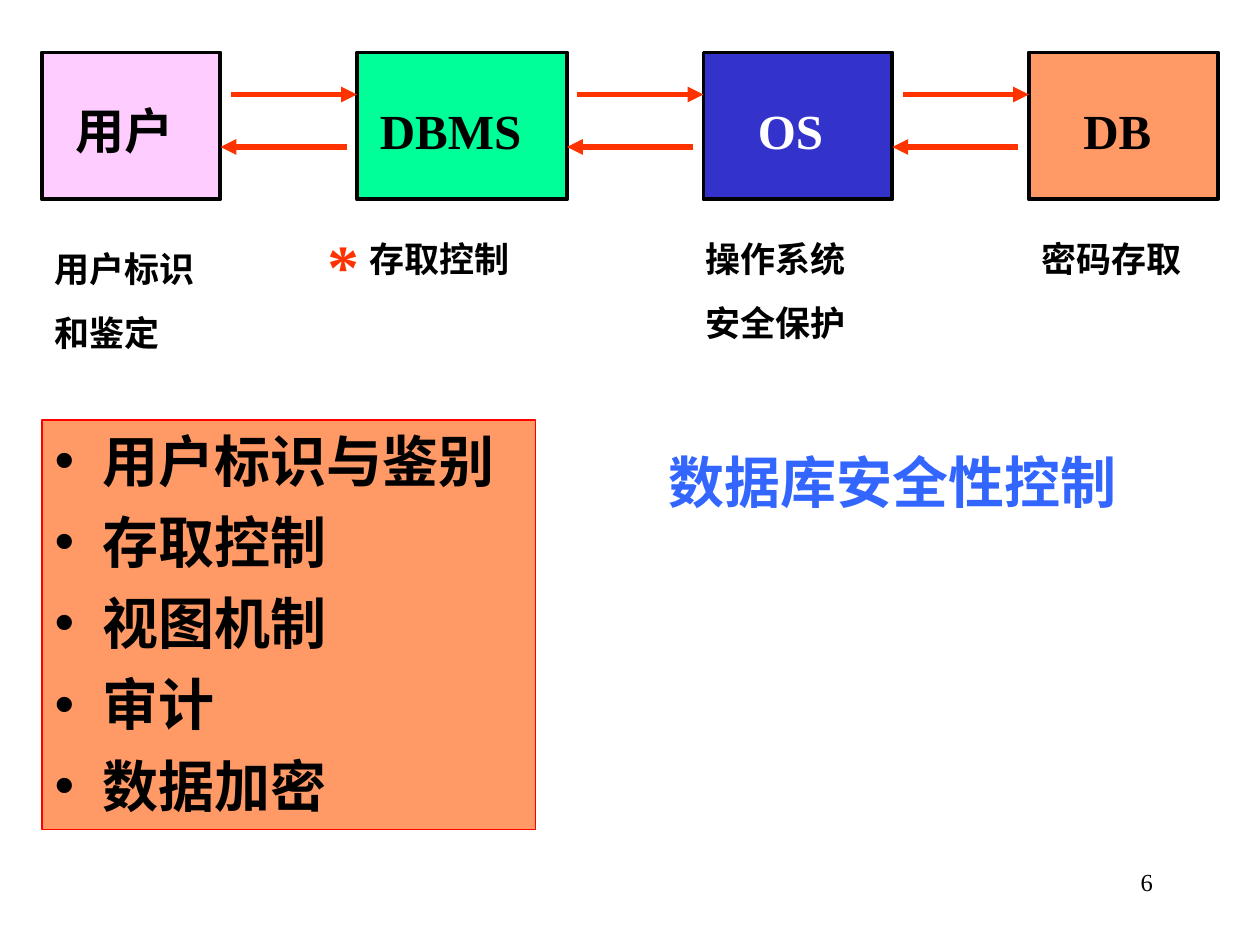
from dataclasses import dataclass
from itertools import pairwise

from lxml import etree
from pptx import Presentation
from pptx.dml.color import RGBColor
from pptx.enum.shapes import MSO_CONNECTOR, MSO_SHAPE
from pptx.enum.text import MSO_ANCHOR, MSO_AUTO_SIZE, PP_ALIGN
from pptx.oxml.ns import qn
from pptx.util import Inches, Pt

RECTANGLE = MSO_SHAPE.RECTANGLE
STRAIGHT = MSO_CONNECTOR.STRAIGHT
TOP = MSO_ANCHOR.TOP
NO_FIT = MSO_AUTO_SIZE.NONE
LEFT, CENTER, RIGHT = PP_ALIGN.LEFT, PP_ALIGN.CENTER, PP_ALIGN.RIGHT

COLUMNS, ROWS = 120, 90


@dataclass(frozen=True)
class Theme:
    latin: str = "Times New Roman"
    asian: str = "Noto Sans CJK SC"
    ink: str = "000000"
    white: str = "FFFFFF"
    title: str = "3366FF"
    arrow: str = "FF3300"
    frame: str = "FF0000"
    pink: str = "FFCCFF"
    green: str = "00FF99"
    blue: str = "3333CC"
    orange: str = "FF9966"
    heading_size: int = 32
    node_size: int = 28
    caption_size: int = 20
    star_size: int = 36
    number_size: int = 14
    leading: float = 1.2


THEME = Theme()


@dataclass(frozen=True)
class Box:
    column: float
    row: float
    columns: float
    rows: float

    @property
    def right(self):
        return self.column + self.columns

    def inset(self, column, row, columns, rows):
        return Box(self.column + column, self.row + row, columns, rows)


def cell(count):
    return Inches(count * 10 / COLUMNS)


def place(shape, box):
    shape.left, shape.top = cell(box.column), cell(box.row)
    shape.width, shape.height = cell(box.columns), cell(box.rows)


def color(value):
    return RGBColor.from_string(value)


def paint(shape, fill, line, width):
    shape.fill.solid()
    shape.fill.fore_color.rgb = color(fill)
    shape.line.color.rgb = color(line)
    shape.line.width = Pt(width)


def add_bullet(paragraph):
    properties = paragraph._p.get_or_add_pPr()
    indent = Inches(0.38)
    properties.set("marL", str(indent))
    properties.set("indent", str(-indent))
    bullet_color = etree.SubElement(properties, qn("a:buClr"))
    etree.SubElement(bullet_color, qn("a:srgbClr"), val=THEME.ink)
    etree.SubElement(properties, qn("a:buChar"), char="•")


def write(shape, text, *, size, ink=THEME.ink, latin=THEME.latin, bold=True,
          align=LEFT, space=0, bullets=False):
    frame = shape.text_frame
    frame.word_wrap = True
    frame.auto_size = NO_FIT
    frame.vertical_anchor = TOP
    frame.text = text
    for index, paragraph in enumerate(frame.paragraphs):
        if bullets:
            add_bullet(paragraph)
        paragraph.alignment = align
        paragraph.space_before = Pt(space if index else 0)
        paragraph.line_spacing = Pt(size * THEME.leading)
        for run in paragraph.runs:
            font = run.font
            font.name, font.size, font.bold = latin, Pt(size), bold
            font.color.rgb = color(ink)
            etree.SubElement(run._r.get_or_add_rPr(), qn("a:ea"),
                             typeface=THEME.asian)


def add_text(slide, box, text, **style):
    shape = slide.shapes.add_textbox(0, 0, 0, 0)
    place(shape, box)
    write(shape, text, **style)


def add_node(slide, box, text, fill, ink, text_offset):
    shape = slide.shapes.add_shape(RECTANGLE, 0, 0, 0, 0)
    place(shape, box)
    shape.shadow.inherit = False
    paint(shape, fill, THEME.ink, 2.25)
    label = box.inset(text_offset, 4, box.columns - text_offset, 7)
    add_text(slide, label, text, size=THEME.node_size, ink=ink)


def add_arrow(slide, start, end, row):
    arrow = slide.shapes.add_connector(
        STRAIGHT, cell(start), cell(row), cell(end), cell(row))
    arrow.line.color.rgb = color(THEME.arrow)
    arrow.line.width = Pt(3)
    etree.SubElement(arrow.line._get_or_add_ln(), qn("a:tailEnd"),
                     type="triangle")
    etree.SubElement(arrow._element.spPr, qn("a:effectLst"))


def add_chain(slide, box):
    nodes = [
        (0, 17, "用户", THEME.pink, THEME.ink, 2),
        (30, 20, "DBMS", THEME.green, THEME.ink, 1),
        (63, 18, "OS", THEME.blue, THEME.white, 4),
        (94, 18, "DB", THEME.orange, THEME.ink, 4),
    ]
    boxes = []
    for column, columns, *content in nodes:
        node = box.inset(column, 0, columns, box.rows)
        add_node(slide, node, *content)
        boxes.append(node)
    for source, target in pairwise(boxes):
        add_arrow(slide, source.right + 1, target.column, box.row + 4)
        add_arrow(slide, target.column - 1, source.right, box.row + 9)


def add_captions(slide, box):
    captions = [
        (0, 1, 23, "用户标识\n和鉴定"),
        (30, 0, 19, "存取控制"),
        (62, 0, 19, "操作系统\n安全保护"),
        (94, 0, 19, "密码存取"),
    ]
    for column, row, columns, text in captions:
        rows = 6 * len(text.split("\n"))
        add_text(slide, box.inset(column, row, columns, rows), text,
                 size=THEME.caption_size, space=12.5)
    add_text(slide, box.inset(26, -1, 10, 8), "*",
             size=THEME.star_size, ink=THEME.arrow)


def add_title(slide, box):
    title = slide.shapes.title
    place(title, box)
    write(title, "数据库安全性控制", size=THEME.heading_size,
          ink=THEME.title, latin=THEME.asian, align=CENTER)


def add_measures(slide, box):
    body = slide.placeholders[1]
    place(body, box)
    paint(body, THEME.orange, THEME.frame, 0.75)
    measures = ["用户标识与鉴别", "存取控制", "视图机制", "审计", "数据加密"]
    write(body, "\n".join(measures), size=THEME.heading_size,
          space=8, bullets=True)


def main():
    presentation = Presentation()
    presentation.slide_width = cell(COLUMNS)
    presentation.slide_height = cell(ROWS)
    slide = presentation.slides.add_slide(presentation.slide_layouts[1])
    add_measures(slide, Box(4, 40, 47, 39))
    add_title(slide, Box(55, 42, 60, 27))
    add_chain(slide, Box(4, 5, 112, 14))
    add_captions(slide, Box(4, 22, 113, 12))
    add_text(slide, Box(86, 82, 25, 6), "6",
             size=THEME.number_size, bold=False, align=RIGHT)
    presentation.save("out.pptx")


if __name__ == "__main__":
    main()
